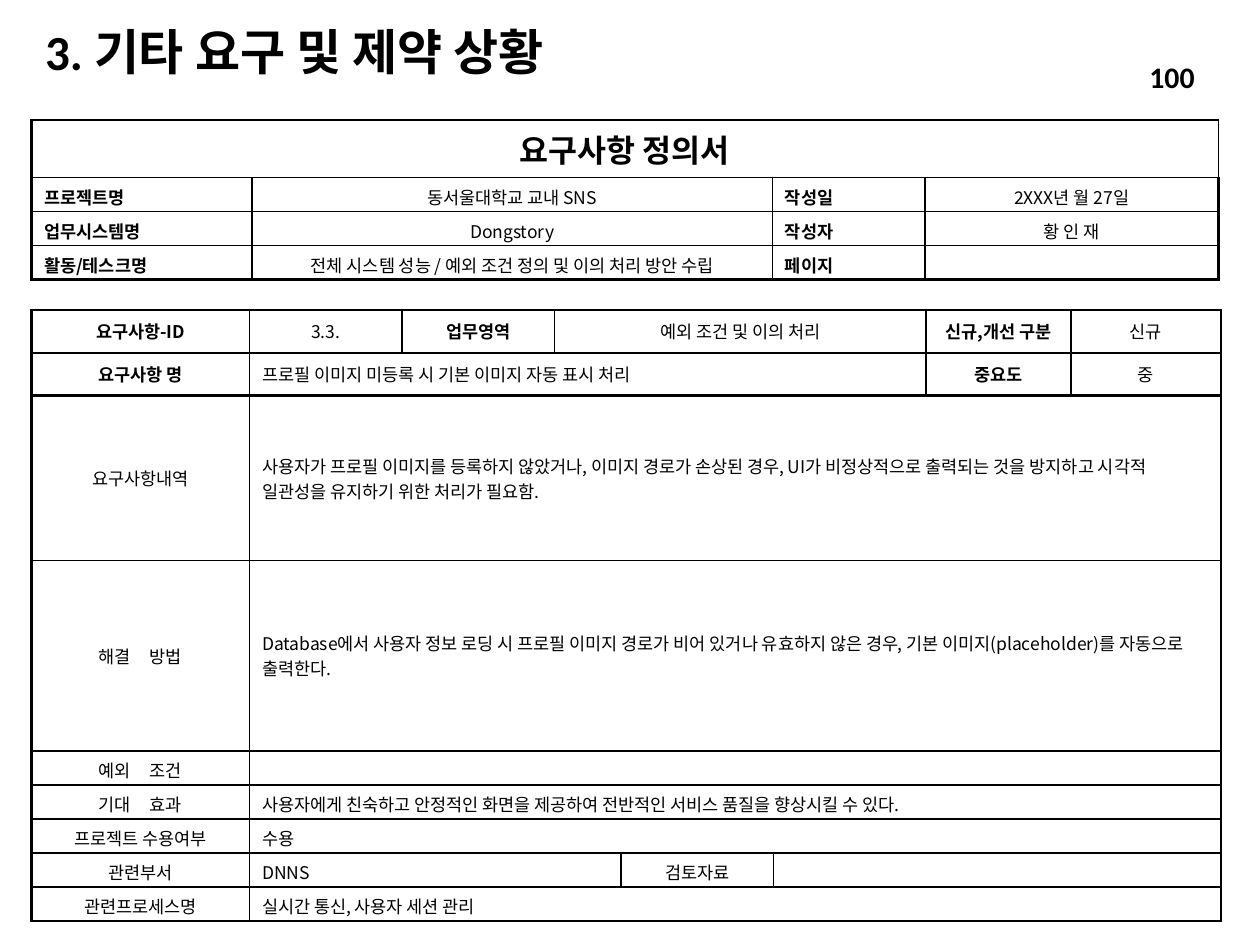
from dataclasses import dataclass

from lxml import etree
from pptx import Presentation
from pptx.dml.color import RGBColor
from pptx.enum import text as t
from pptx.oxml import ns
from pptx.util import Inches, Pt

BLACK = RGBColor(0, 0, 0)
LATIN, KOREAN = "Calibri", "Noto Sans CJK KR"
LEFT, CENTER, RIGHT, JUSTIFY = (
    t.PP_ALIGN.LEFT, t.PP_ALIGN.CENTER, t.PP_ALIGN.RIGHT, t.PP_ALIGN.JUSTIFY)
TOP, MIDDLE = t.MSO_ANCHOR.TOP, t.MSO_ANCHOR.MIDDLE
THIN, THICK = 1, 1.5
BODY_SIZE = 10
WIDE_GAP = 8.6  # extra points between the two words of a spread label


@dataclass(frozen=True)
class Cell:
    text: str = ""
    span: int = 1
    bold: bool = False
    align: t.PP_ALIGN = CENTER
    size: float = BODY_SIZE
    anchor: t.MSO_ANCHOR = MIDDLE
    gap: float = 0


@dataclass(frozen=True)
class Grid:
    left: float
    top: float
    columns: list[float]
    heights: list[float]
    rows: list[list[Cell]]
    heavy_rows: int = 0  # leading rows ruled with thick lines


def write(frame, text: str, *, size: float, font: str = KOREAN, bold: bool = False,
          align=LEFT, gap: float = 0, line_spacing: float | None = None) -> None:
    """Fill the first paragraph; a gap widens the spaces between words."""
    para = frame.paragraphs[0]
    para.alignment = align
    if line_spacing:
        para.line_spacing = line_spacing
    if not text:
        etree.SubElement(para._p, ns.qn("a:endParaRPr"), sz=str(size * 100))
        return
    for piece in text.partition(" ") if gap else [text]:
        span = para.add_run()
        span.text = piece
        span.font.size, span.font.bold, span.font.name = Pt(size), bold, font
        span.font.color.rgb = BLACK
        properties = span.font._element
        etree.SubElement(properties, ns.qn("a:ea"), typeface=KOREAN)
        if piece == " ":
            properties.set("spc", str(round(gap * 100)))


def add_label(page, text: str, left: float, top: float, width: float, height: float,
              **style) -> None:
    box = page.shapes.add_textbox(*map(Inches, (left, top, width, height)))
    box.text_frame.word_wrap = True
    box.text_frame.vertical_anchor = MIDDLE
    write(box.text_frame, text, font=LATIN, bold=True, **style)


def set_borders(cell, widths: dict[str, float]) -> None:
    properties = cell._tc.get_or_add_tcPr()
    for side, width in widths.items():
        line = etree.SubElement(properties, ns.qn(f"a:ln{side}"), w=str(Pt(width)))
        fill = etree.SubElement(line, ns.qn("a:solidFill"))
        etree.SubElement(fill, ns.qn("a:srgbClr"), val=str(BLACK))


def draw_grid(page, grid: Grid) -> None:
    row_count, column_count = len(grid.heights), len(grid.columns)
    table = page.shapes.add_table(
        row_count, column_count, Inches(grid.left), Inches(grid.top),
        Inches(sum(grid.columns)), Inches(sum(grid.heights))).table
    table.first_row = table.horz_banding = False
    for column, width in zip(table.columns, grid.columns):
        column.width = Inches(width)
    for row, height in zip(table.rows, grid.heights):
        row.height = Inches(height)

    # Thick outer frame and heavy rows, thin lines elsewhere
    for r in range(row_count):
        for c in range(column_count):
            cell = table.cell(r, c)
            thick = {
                "L": c == 0,
                "R": c == column_count - 1,
                "T": r == 0 or r <= grid.heavy_rows and grid.heavy_rows > 0,
                "B": r == row_count - 1 or r < grid.heavy_rows,
            }
            set_borders(cell, {s: THICK if on else THIN for s, on in thick.items()})
            cell.fill.background()

    # Merged cells and their text
    for r, row in enumerate(grid.rows):
        c = 0
        for item in row:
            cell = table.cell(r, c)
            if item.span > 1:
                cell.merge(table.cell(r, c + item.span - 1))
            cell.vertical_anchor = item.anchor
            write(cell.text_frame, item.text, size=item.size, bold=item.bold,
                  align=item.align, gap=item.gap)
            c += item.span


def info_row(label: str, value: str, side_label: str, side_value: str) -> list[Cell]:
    return [
        Cell(label, bold=True, align=JUSTIFY, anchor=TOP),
        Cell(value, anchor=TOP),
        Cell(side_label, bold=True, align=JUSTIFY, anchor=TOP),
        Cell(side_value, anchor=TOP),
    ]


def detail_row(label: str, value: str, gap: float = 0) -> list[Cell]:
    return [Cell(label, gap=gap), Cell(value, span=7, align=LEFT)]


REQUIREMENT = Grid(
    0.25, 2.46,
    [1.73, 1.21, 1.21, 0.53, 1.21, 1.21, 1.15, 1.19],
    [0.34, 0.34, 1.31, 1.51] + [0.27] * 5,
    [
        [Cell("요구사항-ID", bold=True), Cell("3.3."), Cell("업무영역", bold=True),
         Cell("예외 조건 및 이의 처리", span=3),
         Cell("신규,개선 구분", bold=True), Cell("신규")],
        [Cell("요구사항 명", bold=True),
         Cell("프로필 이미지 미등록 시 기본 이미지 자동 표시 처리", span=5, align=LEFT),
         Cell("중요도", bold=True), Cell("중")],
        detail_row("요구사항내역",
                   "사용자가 프로필 이미지를 등록하지 않았거나, 이미지 경로가 손상된 경우, "
                   "UI가 비정상적으로 출력되는 것을 방지하고 시각적 일관성을 유지하기 위한 "
                   "처리가 필요함."),
        detail_row("해결 방법",
                   "Database에서 사용자 정보 로딩 시 프로필 이미지 경로가 비어 있거나 "
                   "유효하지 않은 경우, 기본 이미지(placeholder)를 자동으로 출력한다.",
                   WIDE_GAP),
        detail_row("예외 조건", "", WIDE_GAP),
        detail_row("기대 효과",
                   "사용자에게 친숙하고 안정적인 화면을 제공하여 전반적인 서비스 품질을 "
                   "향상시킬 수 있다.", WIDE_GAP),
        detail_row("프로젝트 수용여부", "수용"),
        [Cell("관련부서"), Cell("DNNS", span=3, align=LEFT), Cell("검토자료"),
         Cell(span=3)],
        detail_row("관련프로세스명", "실시간 통신, 사용자 세션 관리"),
    ],
    heavy_rows=2,
)

DOCUMENT_INFO = Grid(
    0.25, 0.95,
    [1.75, 4.13, 1.21, 2.33],
    [0.46] + [0.27] * 3,
    [
        [Cell("요구사항 정의서", span=4, bold=True, size=18)],
        info_row("프로젝트명", "동서울대학교 교내 SNS", "작성일", "2XXX년 월 27일"),
        info_row("업무시스템명", "Dongstory", "작성자", "황 인 재"),
        info_row("활동/테스크명", "전체 시스템 성능 / 예외 조건 정의 및 이의 처리 방안 수립",
                 "페이지", ""),
    ],
)


def main() -> None:
    deck = Presentation()
    deck.slide_width, deck.slide_height = Inches(10), Inches(7.5)
    page = deck.slides.add_slide(deck.slide_layouts[6])

    # Heading, tables and page number
    add_label(page, "3. 기타 요구 및 제약 상황", 0.26, 0.21, 5.36, 0.44,
              size=28, line_spacing=0.9)
    draw_grid(page, REQUIREMENT)
    draw_grid(page, DOCUMENT_INFO)
    add_label(page, "100", 7.96, 0.41, 1.62, 0.4, size=17, align=RIGHT)

    deck.save("out.pptx")


if __name__ == "__main__":
    main()
